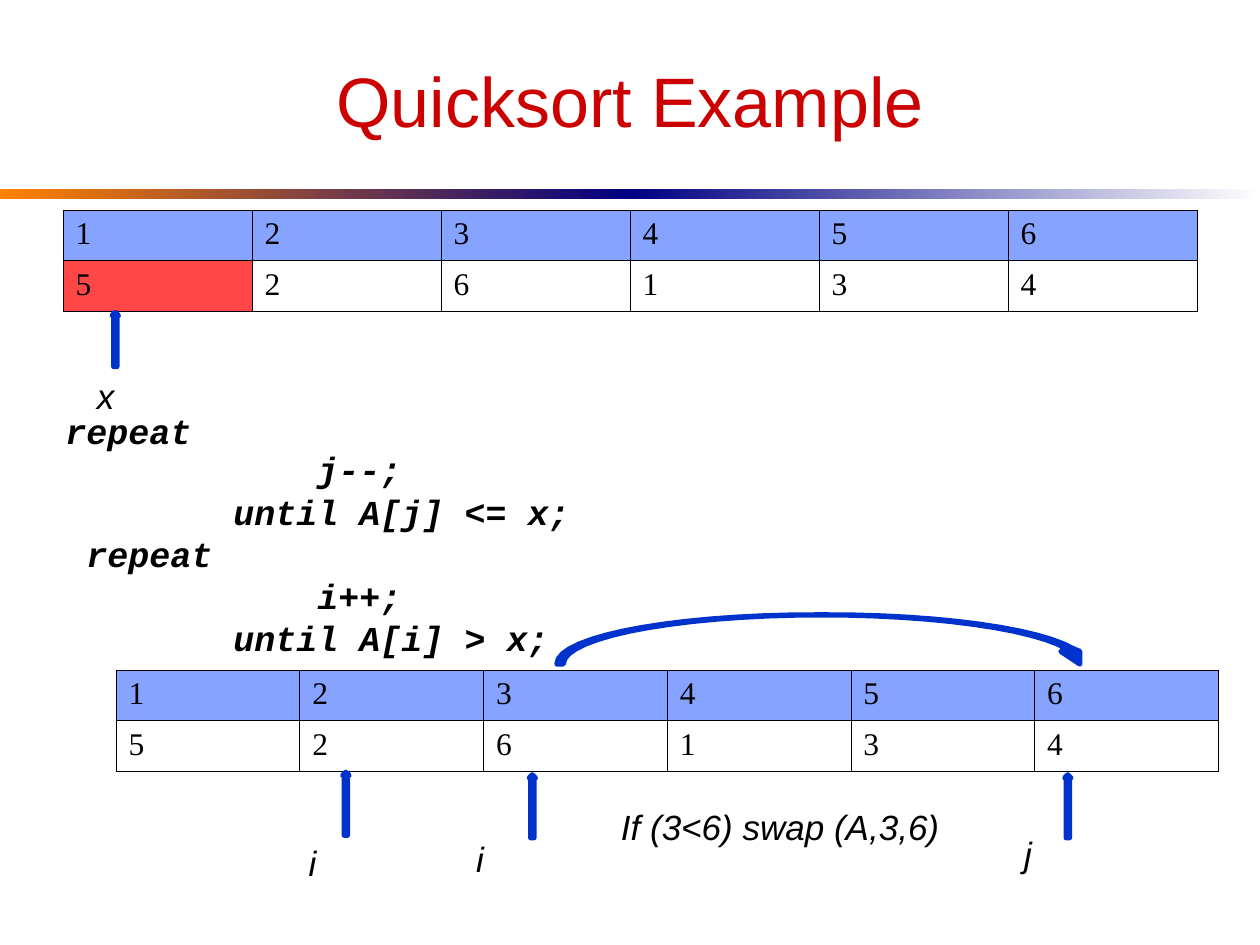
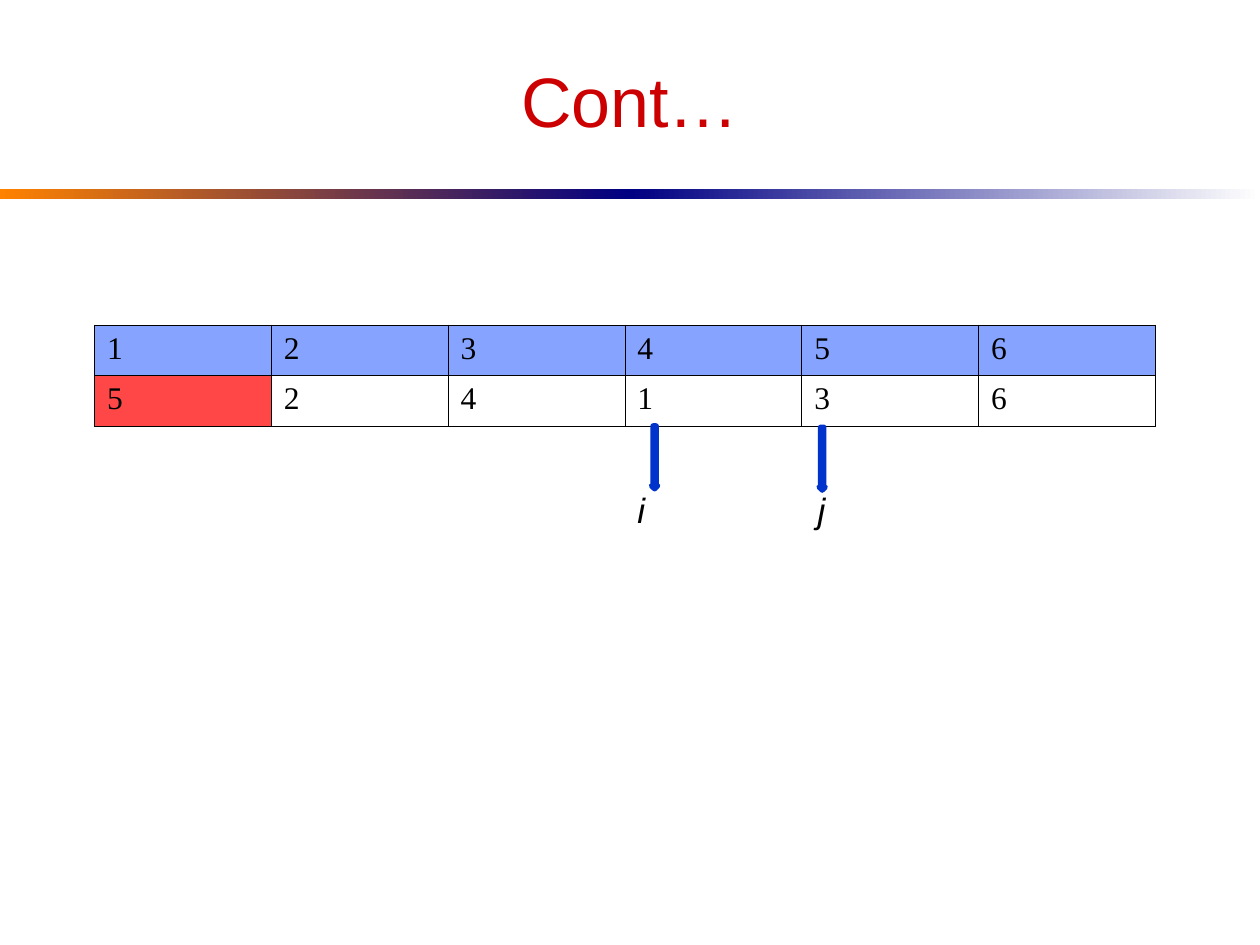
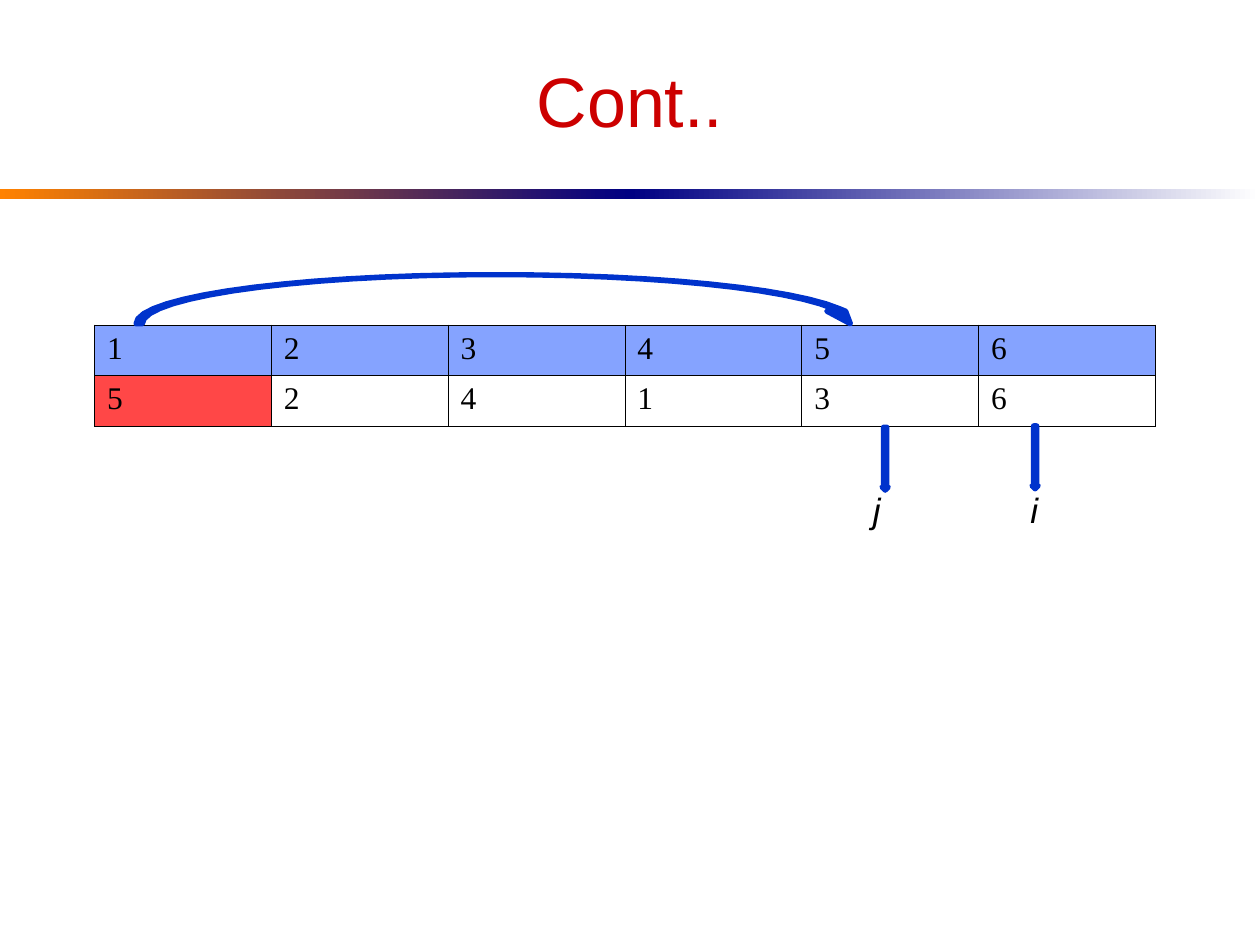
from dataclasses import dataclass
from math import cos, radians, sin

from lxml import etree
from pptx import Presentation
from pptx.dml.color import RGBColor
from pptx.enum.shapes import MSO_SHAPE
from pptx.enum.text import MSO_ANCHOR, PP_ALIGN
from pptx.oxml.ns import qn
from pptx.util import Inches, Pt

RECTANGLE = MSO_SHAPE.RECTANGLE
UP_ARROW = MSO_SHAPE.UP_ARROW
MIDDLE = MSO_ANCHOR.MIDDLE
CENTER = PP_ALIGN.CENTER

COLORS = {
    "title": "CC0000",
    "text": "000000",
    "arrow": "0033CC",
    "index": "85A3FF",
    "pivot": "FF4747",
    "band_start": "FF8200",
    "band_middle": "000082",
    "band_end": "FFFFFF",
}
TITLE_FORMAT = {"name": "Arial", "size": Pt(40)}
LABEL_FORMAT = {"name": "Arial", "size": Pt(20), "italic": True}
CELL_FORMAT = {"name": "Times New Roman", "size": Pt(18)}
CODE_FORMAT = {"name": "Courier New", "size": Pt(20), "bold": True, "italic": True}

TITLE_ONLY = 5
COLUMN_COUNT = 6
ROW_HEIGHT = 0.4
BORDER_WIDTH = Pt(0.45)
ARROW_WIDTH = 0.05
CODE_CHARACTER = 1 / 6


@dataclass
class ArrayTable:
    left: float
    top: float
    width: float
    values: str
    has_pivot: bool = True


@dataclass
class Pointer:
    left: float
    top: float
    height: float = 0.5
    rotation: int = 0


@dataclass
class Label:
    text: str
    left: float
    top: float
    width: float = 1.08


@dataclass
class SwapArc:
    left: float
    bottom: float
    radius: float
    height: float = 0.39
    shift: float = 0.1


@dataclass
class CodeLine:
    text: str
    indent: int
    spacing: float = 1.0


@dataclass
class ArraySlide:
    title: str
    tables: list[ArrayTable]
    pointers: list[Pointer]
    labels: list[Label]
    arcs: list[SwapArc]
    code: list[CodeLine]


def color(name: str) -> RGBColor:
    return RGBColor.from_string(COLORS[name])


def format_font(font, values: dict, color_name: str = "text") -> None:
    for attribute, value in values.items():
        setattr(font, attribute, value)
    font.color.rgb = color(color_name)


def paint_arrow(shape) -> None:
    shape.shadow.inherit = False
    shape.fill.solid()
    shape.fill.fore_color.rgb = color("arrow")
    shape.line.color.rgb = color("arrow")
    shape.line.width = Pt(3)


def add_bands(slide, layout) -> None:
    for left, names in ((0, ("band_start", "band_middle")), (5, ("band_middle", "band_end"))):
        band = slide.shapes.add_shape(RECTANGLE, Inches(left), Inches(1.5), Inches(5), Inches(0.08))
        band.shadow.inherit = False
        band.line.fill.background()
        band.fill.gradient()
        band.fill.gradient_angle = 0
        for position, (stop, name) in enumerate(zip(band.fill.gradient_stops, names)):
            stop.position = position
            stop.color.rgb = color(name)
        layout.shapes.element.append(band.element)


def prepare_layout(layout) -> None:
    for placeholder in list(layout.placeholders):
        if placeholder.placeholder_format.idx:
            layout.shapes.element.remove(placeholder.element)
    title = layout.placeholders[0]
    title.left, title.top = Inches(0.5), Inches(0.25)
    title.width, title.height = Inches(9), Inches(1.08)


def add_title(slide, text: str) -> None:
    frame = slide.shapes.title.text_frame
    frame.text = text
    frame.vertical_anchor = MIDDLE
    paragraph = frame.paragraphs[0]
    paragraph.alignment = CENTER
    format_font(paragraph.runs[0].font, TITLE_FORMAT, "title")


def add_borders(cell) -> None:
    properties = cell._tc.get_or_add_tcPr()
    for side in ("a:lnL", "a:lnR", "a:lnT", "a:lnB"):
        line = etree.SubElement(properties, qn(side), w=str(BORDER_WIDTH))
        fill = etree.SubElement(line, qn("a:solidFill"))
        etree.SubElement(fill, qn("a:srgbClr"), val=COLORS["text"])


def add_array(slide, array: ArrayTable) -> None:
    table = slide.shapes.add_table(
        2, COLUMN_COUNT, Inches(array.left), Inches(array.top),
        Inches(array.width), Inches(2 * ROW_HEIGHT),
    ).table
    table.first_row = False
    table.horz_banding = False
    for column in table.columns:
        column.width = Inches(array.width / COLUMN_COUNT)
    for row_index, values in enumerate(("123456", array.values)):
        for column_index, value in enumerate(values):
            cell = table.cell(row_index, column_index)
            cell.text = value
            format_font(cell.text_frame.paragraphs[0].runs[0].font, CELL_FORMAT)
            add_borders(cell)
            if row_index == 0:
                fill_name = "index"
            elif array.has_pivot and column_index == 0:
                fill_name = "pivot"
            else:
                cell.fill.background()
                continue
            cell.fill.solid()
            cell.fill.fore_color.rgb = color(fill_name)


def add_pointer(slide, pointer: Pointer) -> None:
    arrow = slide.shapes.add_shape(
        UP_ARROW, Inches(pointer.left), Inches(pointer.top),
        Inches(ARROW_WIDTH), Inches(pointer.height),
    )
    arrow.rotation = pointer.rotation
    paint_arrow(arrow)


def add_text_box(slide, left: float, top: float, width: float, height: float):
    box = slide.shapes.add_textbox(Inches(left), Inches(top), Inches(width), Inches(height))
    box.text_frame.word_wrap = True
    return box.text_frame


def add_label(slide, label: Label) -> None:
    frame = add_text_box(slide, label.left, label.top, label.width, 0.44)
    frame.text = label.text
    format_font(frame.paragraphs[0].runs[0].font, LABEL_FORMAT)


def add_code(slide, lines: list[CodeLine]) -> None:
    frame = add_text_box(slide, 0.42, 3.24, 9.17, 4.22)
    for index, line in enumerate(lines):
        paragraph = frame.add_paragraph() if index else frame.paragraphs[0]
        paragraph.line_spacing = line.spacing
        indent = Inches(line.indent * CODE_CHARACTER)
        paragraph._p.get_or_add_pPr().set("marL", str(indent))
        run = paragraph.add_run()
        run.text = line.text
        format_font(run.font, CODE_FORMAT)


def add_swap_arc(slide, arc: SwapArc) -> None:
    def curve(center: float, start: int, stop: int) -> list[tuple[float, float]]:
        step = 6 if stop > start else -6
        return [
            (center + arc.radius * cos(radians(angle)), arc.bottom - arc.height * sin(radians(angle)))
            for angle in range(start, stop + step, step)
        ]

    center = arc.left + arc.radius
    inner = center + arc.shift / 2
    outer_curve = curve(center, 180, 90) + curve(center + arc.shift, 90, 18)
    inner_curve = curve(inner, 18, 90) + curve(inner, 90, 180)
    head_y = arc.bottom - 0.1
    head = [
        (outer_curve[-1][0] + 0.05, head_y),
        (inner + arc.radius, arc.bottom),
        (inner_curve[0][0] - 0.05, head_y),
    ]
    points = [(Inches(x), Inches(y)) for x, y in outer_curve + head + inner_curve]
    builder = slide.shapes.build_freeform(*points[0])
    builder.add_line_segments(points[1:], close=True)
    paint_arrow(builder.convert_to_shape())


SWAPPED_ARRAY = ArrayTable(0.75, 2.58, 8.42, "524136")
SLIDES = [
    ArraySlide(
        "Quicksort Example",
        tables=[
            ArrayTable(0.5, 1.67, 9, "526134"),
            ArrayTable(0.92, 5.32, 8.75, "526134", has_pivot=False),
        ],
        pointers=[
            Pointer(0.89, 2.48, 0.43), Pointer(2.72, 6.13),
            Pointer(4.2, 6.15), Pointer(8.45, 6.15),
        ],
        labels=[
            Label("x", 0.67, 2.92), Label("i", 2.35, 6.63), Label("i", 3.68, 6.6),
            Label("If (3<6) swap (A,3,6)", 4.83, 6.34, 4.42), Label("j", 8.03, 6.56),
        ],
        arcs=[SwapArc(4.42, 5.27, 2.05)],
        code=[
            CodeLine("repeat", 0, 0.9),
            CodeLine("j--;", 12, 0.9),
            CodeLine("until A[j] <= x;", 8),
            CodeLine("repeat", 1),
            CodeLine("i++;", 12),
            CodeLine("until A[i] > x;", 8),
        ],
    ),
    ArraySlide(
        "Cont…",
        tables=[SWAPPED_ARRAY],
        pointers=[Pointer(5.17, 3.38, rotation=180), Pointer(6.5, 3.39, rotation=180)],
        labels=[Label("i", 4.96, 3.83), Label("j", 6.39, 3.83)],
        arcs=[],
        code=[],
    ),
    ArraySlide(
        "Cont..",
        tables=[SWAPPED_ARRAY],
        pointers=[Pointer(7, 3.39, rotation=180), Pointer(8.19, 3.38, rotation=180)],
        labels=[Label("j", 6.83, 3.83, 0.64), Label("i", 8.08, 3.83)],
        arcs=[SwapArc(1.08, 2.57, 2.81)],
        code=[],
    ),
]


def main() -> None:
    presentation = Presentation()
    presentation.slide_width, presentation.slide_height = Inches(10), Inches(7.5)
    layout = presentation.slide_layouts[TITLE_ONLY]
    prepare_layout(layout)
    for index, content in enumerate(SLIDES):
        slide = presentation.slides.add_slide(layout)
        if index == 0:
            add_bands(slide, layout)
        add_title(slide, content.title)
        for table in content.tables:
            add_array(slide, table)
        if content.code:
            add_code(slide, content.code)
        for pointer in content.pointers:
            add_pointer(slide, pointer)
        for arc in content.arcs:
            add_swap_arc(slide, arc)
        for label in content.labels:
            add_label(slide, label)
    presentation.save("out.pptx")


main()
